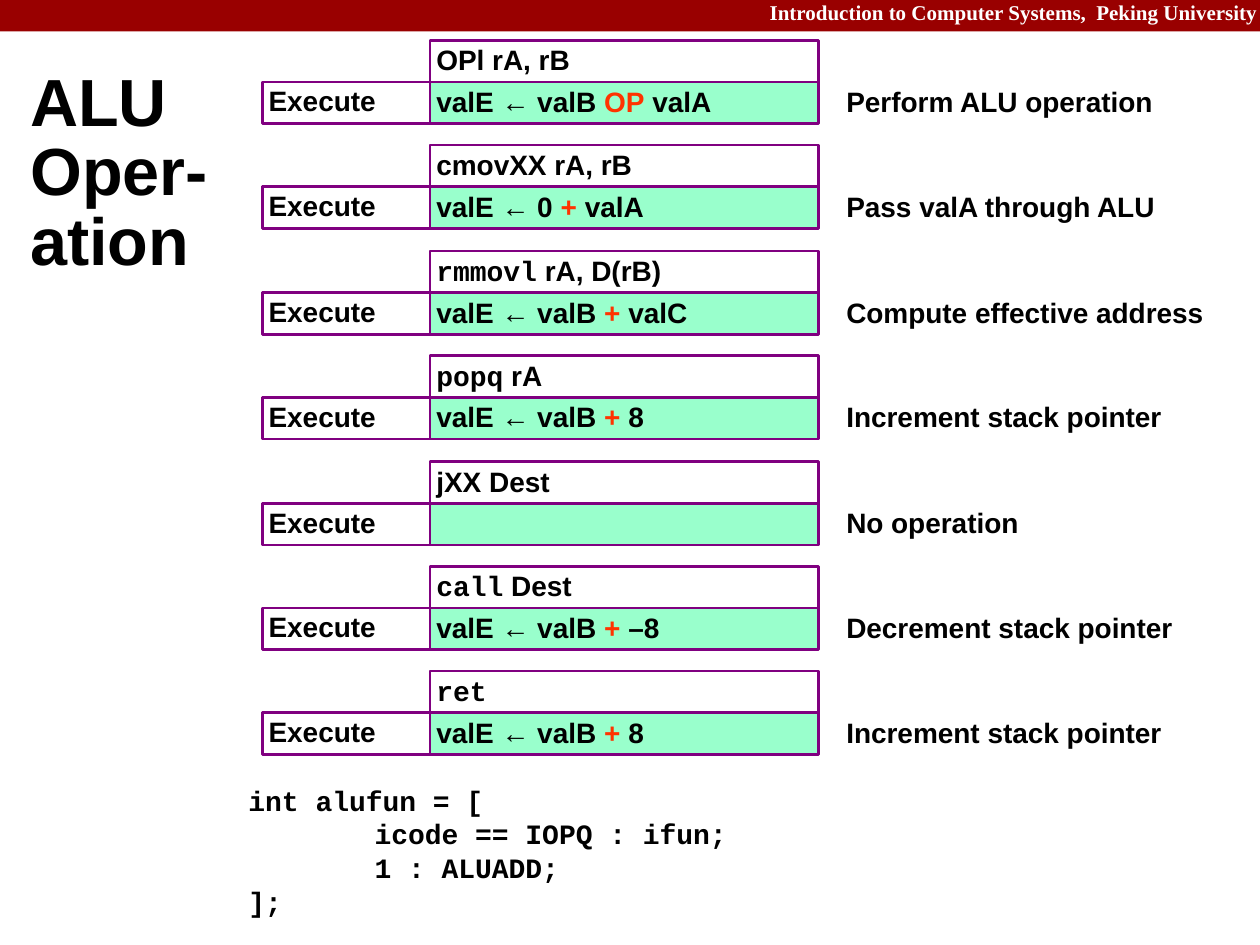
"""Build the ALU Operation slide: one Execute row per instruction, then the HCL code."""
import pptx
import pptx.util
import pptx.dml.color
import pptx.enum.shapes
import pptx.enum.text
import lxml.etree

PX = 9144
COLORS = {"bar": "990000", "line": "800080", "value": "99FFCC",
          "text": "000000", "op": "FF3300", "white": "FFFFFF"}
SANS, MONO, SERIF = "Arial", "Courier New", "Times New Roman"
ANCHOR = pptx.enum.text.MSO_ANCHOR
ALIGN = pptx.enum.text.PP_ALIGN
RECT = pptx.enum.shapes.MSO_SHAPE.RECTANGLE


def write(s, lines, inset=5, size=16, spacing=0.9, anchor=ANCHOR.TOP, align=ALIGN.LEFT):
    tf = s.text_frame
    frame = {"word_wrap": True, "auto_size": pptx.enum.text.MSO_AUTO_SIZE.NONE,
             "vertical_anchor": anchor}
    for side in ("left", "top", "right", "bottom"):
        frame["margin_" + side] = inset * PX
    for key, value in frame.items():
        setattr(tf, key, value)
    for i, runs in enumerate(lines):
        p = tf.add_paragraph() if i else tf.paragraphs[0]
        for key, value in {"alignment": align, "line_spacing": spacing}.items():
            setattr(p, key, value)
        for text, font, color in runs:
            for n, part in enumerate(text.split("\v")):
                if n:
                    p.add_line_break()
                r = p.add_run()
                r.text = part
                for key, value in {"name": font, "size": pptx.util.Pt(size), "bold": True}.items():
                    setattr(r.font, key, value)
                r.font.color.rgb = pptx.dml.color.RGBColor.from_string(COLORS[color])


def box(x, y, w, h, fill=None, line=None):
    s = slide.shapes.add_shape(RECT, x * PX, y * PX, w * PX, h * PX)
    s.shadow.inherit = False
    for fmt, color in ((s.fill, fill), (s.line.fill, line)):
        if color:
            fmt.solid()
            fmt.fore_color.rgb = pptx.dml.color.RGBColor.from_string(COLORS[color])
        else:
            fmt.background()
    if line:
        s.line.width = pptx.util.Pt(1.5)
    return s


prs = pptx.Presentation()
prs.slide_width, prs.slide_height = 999 * PX, 749 * PX
slide = prs.slides.add_slide(prs.slide_layouts[5])

box(0, 0, 1000, 25, fill="bar")
course = slide.shapes.add_textbox(600 * PX, -3 * PX, 407 * PX, 28 * PX)
write(course, [[("Introduction to Computer Systems,  Peking University", SERIF, "white")]],
      inset=10, size=12, align=ALIGN.RIGHT)
course.text_frame.margin_top = course.text_frame.margin_bottom = 5 * PX

title = slide.shapes.title
for key, value in {"left": 24, "top": 96, "width": 952, "height": 85}.items():
    setattr(title, key, value * PX)
write(title, [[("ALU\vOper-\vation", SANS, "text")]],
      inset=0, size=38, spacing=0.87, anchor=ANCHOR.MIDDLE)

CODE = ["int alufun = [", "\ticode == IOPQ : ifun;", "\t1 : ALUADD;", "];"]
code = slide.shapes.add_textbox(192 * PX, 616 * PX, 625 * PX, 117 * PX)
write(code, [[(line, MONO, "text")] for line in CODE], spacing=1.0)
NS = "{http://schemas.openxmlformats.org/drawingml/2006/main}"
for p in code.text_frame.paragraphs:
    tabs = lxml.etree.SubElement(p._p.get_or_add_pPr(), NS + "tabLst")
    lxml.etree.SubElement(tabs, NS + "tab", pos=str(100 * PX), algn="l")

INSTRUCTIONS = [
    ([("OPl rA, rB", SANS)], ("valE ← valB ", "OP", " valA"), "Perform ALU operation"),
    ([("cmovXX rA, rB", SANS)], ("valE ← 0 ", "+ ", "valA"), "Pass valA through ALU"),
    ([("rmmovl", MONO), (" rA, D(rB)", SANS)], ("valE ← valB ", "+", " valC"),
     "Compute effective address"),
    ([("popq", MONO), (" rA", SANS)], ("valE ← valB ", "+", " 8"), "Increment stack pointer"),
    ([("jXX Dest", SANS)], (), "No operation"),
    ([("call", MONO), (" Dest", SANS)], ("valE ← valB ", "+", " –8"), "Decrement stack pointer"),
    ([("ret", MONO)], ("valE ← valB ", "+", " 8"), "Increment stack pointer"),
]
TOP, PITCH, ROW_H = 32, 83.4, 33
STAGE_X, STAGE_W, VALUE_X, VALUE_W, NOTE_X = 208, 133, 341, 308, 666

for i, (instruction, expression, note) in enumerate(INSTRUCTIONS):
    y = round(TOP + PITCH * i)
    row_y = y + ROW_H
    value = box(VALUE_X, row_y, VALUE_W, ROW_H, fill="value")
    if expression:
        write(value, [[(text, SANS, color)
                       for text, color in zip(expression, ("text", "op", "text"))]])
    s = slide.shapes.add_textbox(NOTE_X * PX, row_y * PX, VALUE_W * PX, ROW_H * PX)
    write(s, [[(note, SANS, "text")]])
    head = box(VALUE_X, y, VALUE_W, ROW_H, line="line")
    write(head, [[(text, font, "text") for text, font in instruction]])
    stage = box(STAGE_X, row_y, STAGE_W, ROW_H, line="line")
    write(stage, [[("Execute", SANS, "text")]], anchor=ANCHOR.MIDDLE)
    box(VALUE_X, row_y, VALUE_W, ROW_H, line="line")

prs.save("out.pptx")
